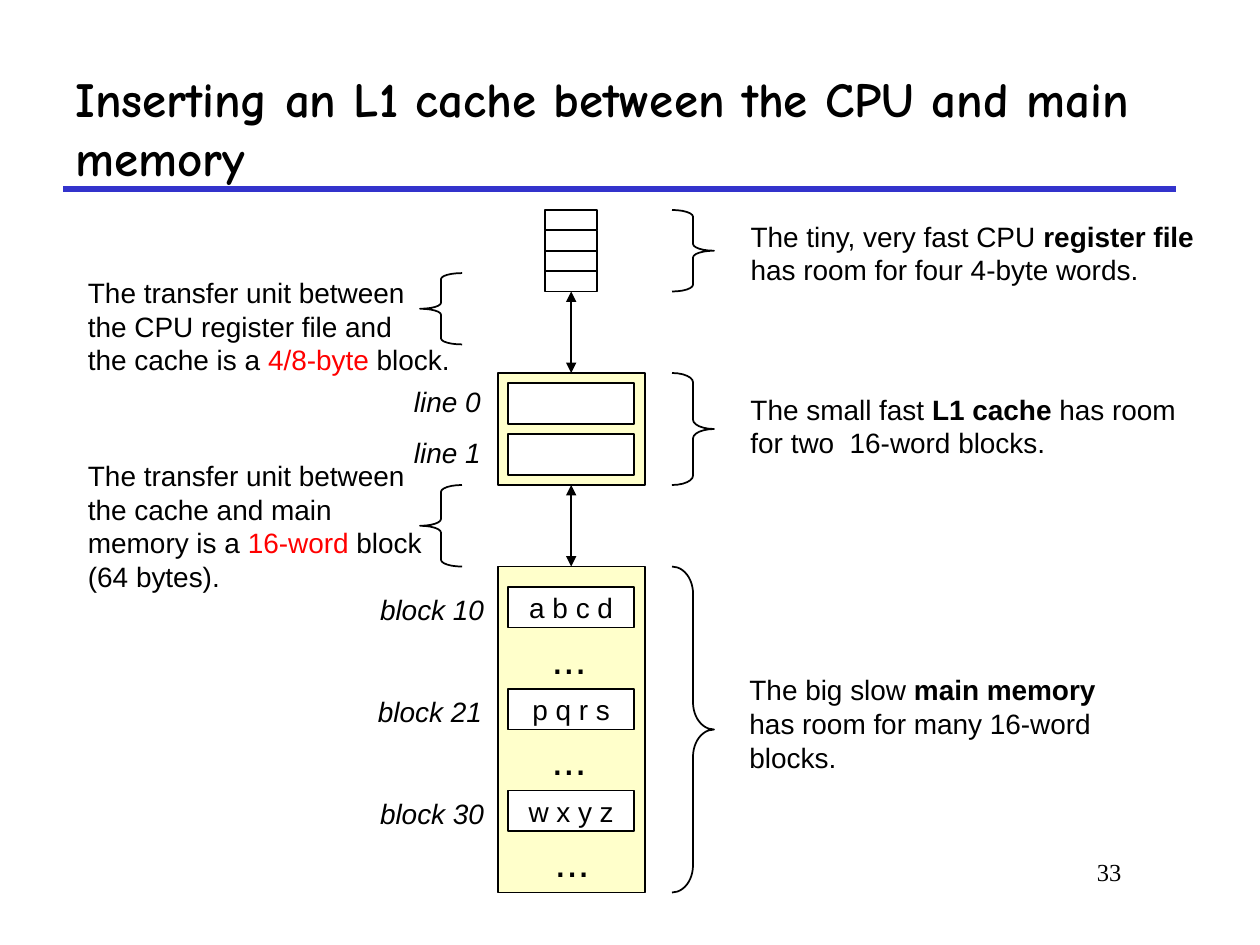
import pptx
import pptx.util
import pptx.dml.color
import pptx.enum.shapes
import pptx.enum.text
import pptx.oxml
import pptx.oxml.ns

BLACK = pptx.dml.color.RGBColor(0, 0, 0)
WHITE = pptx.dml.color.RGBColor(255, 255, 255)
RED = pptx.dml.color.RGBColor(255, 0, 0)
BLUE = pptx.dml.color.RGBColor(0x33, 0x33, 0xCC)
YELLOW = pptx.dml.color.RGBColor(0xFF, 0xFF, 0x99)
SHAPES = pptx.enum.shapes.MSO_SHAPE
STRAIGHT = pptx.enum.shapes.MSO_CONNECTOR.STRAIGHT
ALIGN = pptx.enum.text.PP_ALIGN
ANCHOR = pptx.enum.text.MSO_ANCHOR
FIT = pptx.enum.text.MSO_AUTO_SIZE

presentation = pptx.Presentation()
presentation.slide_width = pptx.util.Inches(10)
presentation.slide_height = pptx.util.Inches(7.5)
slide = presentation.slides.add_slide(presentation.slide_layouts[6])
column = presentation.slide_width / 120
top = presentation.slide_height * 2 / 9
row = (presentation.slide_height * 17 / 18 - top) / 33.5


def area(left, first_row, columns, rows):
    return (round(left * column), round(top + first_row * row),
            round(columns * column), round(rows * row))


def write(shape, lines, size=16, font="Arial", align=ALIGN.LEFT, anchor=ANCHOR.MIDDLE,
          bold=False, italic=False, wrap=False, fit=FIT.NONE):
    frame = shape.text_frame
    frame.word_wrap = wrap
    frame.auto_size = fit
    frame.vertical_anchor = anchor
    for number, line in enumerate(lines):
        paragraph = frame.add_paragraph() if number else frame.paragraphs[0]
        paragraph.alignment = align
        for text, emphasis in line:
            run = paragraph.add_run()
            run.text = text
            run.font.name = font
            run.font.size = pptx.util.Pt(size)
            run.font.bold = bold or emphasis == "bold"
            run.font.italic = italic
            run.font.color.rgb = RED if emphasis == "red" else BLACK


title = slide.shapes.add_textbox(
    round(6 * column), round(6.1 * column), round(106 * column), round(12 * column))
write(title, [[("Inserting an L1 cache between the CPU and main memory", None)]],
      size=28, font="Comic Neue", bold=True, wrap=True)
page_number = slide.shapes.add_textbox(
    round(91 * column), round(81 * column), round(17 * column), round(6 * column))
write(page_number, [[("33", None)]], size=14, font="Times New Roman",
      align=ALIGN.RIGHT, anchor=ANCHOR.TOP, wrap=True)

boxes = {}
for name, left, first_row, columns, rows, color, text in [
    ("cache", 47.4, 8, 14, 5.5, YELLOW, ""),
    ("memory", 47.4, 17.5, 14, 16, YELLOW, ""),
    *[(f"register {index}", 51.9, index, 5, 1, None, "") for index in range(4)],
    ("line 0", 48.4, 8.5, 12, 2, WHITE, ""),
    ("line 1", 48.4, 11, 12, 2, WHITE, ""),
    ("block 10", 48.4, 18.5, 12, 2, WHITE, "a b c d"),
    ("block 21", 48.4, 23.5, 12, 2, WHITE, "p q r s"),
    ("block 30", 48.4, 28.5, 12, 2, WHITE, "w x y z"),
]:
    box = slide.shapes.add_shape(SHAPES.RECTANGLE, *area(left, first_row, columns, rows))
    box.shadow.inherit = False
    box.line.color.rgb = BLACK
    box.line.width = pptx.util.Pt(1)
    if color is None:
        box.fill.background()
    else:
        box.fill.solid()
        box.fill.fore_color.rgb = color
    if color == YELLOW:
        color_element = box.element.spPr.find(".//" + pptx.oxml.ns.qn("a:srgbClr"))
        color_element.append(pptx.oxml.parse_xml(
            '<a:alpha xmlns:a="http://schemas.openxmlformats.org/drawingml/2006/main" val="50000"/>'))
    if text:
        write(box, [[(text, None)]], align=ALIGN.CENTER)
    boxes[name] = box

rule_y = round(presentation.slide_height / 5)
rule = slide.shapes.add_connector(
    STRAIGHT, round(6 * column), rule_y, round(112 * column), rule_y)
connectors = [(rule, BLUE, 3, [])]
for upper, lower in [("register 3", "cache"), ("cache", "memory")]:
    middle = boxes[upper].left + boxes[upper].width // 2
    arrow = slide.shapes.add_connector(
        STRAIGHT, middle, boxes[upper].top + boxes[upper].height, middle, boxes[lower].top)
    arrow.begin_connect(boxes[upper], 2)
    arrow.end_connect(boxes[lower], 0)
    connectors.append((arrow, BLACK, 1, ["headEnd", "tailEnd"]))
for connector, color, width, ends in connectors:
    connector.line.color.rgb = color
    connector.line.width = pptx.util.Pt(width)
    properties = connector.element.spPr
    for end in ends:
        properties.get_or_add_ln().append(pptx.oxml.parse_xml(
            f'<a:{end} xmlns:a="http://schemas.openxmlformats.org/drawingml/2006/main" type="triangle"/>'))
    properties.append(pptx.oxml.parse_xml(
        '<a:effectLst xmlns:a="http://schemas.openxmlformats.org/drawingml/2006/main"/>'))

for kind, left, first_row, rows in [
    (SHAPES.RIGHT_BRACE, 64, 0, 4),
    (SHAPES.RIGHT_BRACE, 64, 8, 5.5),
    (SHAPES.RIGHT_BRACE, 64, 17.5, 16),
    (SHAPES.LEFT_BRACE, 40, 3.1, 3.5),
    (SHAPES.LEFT_BRACE, 40, 13.5, 4),
]:
    brace = slide.shapes.add_shape(kind, *area(left, first_row, 4, rows))
    brace.shadow.inherit = False
    brace.fill.background()
    brace.line.color.rgb = BLACK
    brace.line.width = pptx.util.Pt(1)
    brace.adjustments[0] = brace.height / 12 / min(brace.width, brace.height)

for name, left, columns, shift in [
    ("line 0", 38.1, 9, -0.25), ("line 1", 38.1, 9, -0.25),
    ("block 10", 34.9, 12.5, -0.05), ("block 21", 34.7, 12.5, -0.05),
    ("block 30", 34.9, 12.5, -0.05),
]:
    first_row = (boxes[name].top - top) / row + shift
    label = slide.shapes.add_textbox(*area(left, first_row, columns, 2.3))
    write(label, [[(name, None)]], align=ALIGN.CENTER, italic=True, fit=FIT.SHAPE_TO_FIT_TEXT)

for left, first_row in [(51.3, 20.4), (51.3, 25.4), (51.6, 30.4)]:
    dots = slide.shapes.add_textbox(*area(left, first_row, 5.8, 3.1))
    write(dots, [[("...", None)]], size=24, align=ALIGN.CENTER, fit=FIT.SHAPE_TO_FIT_TEXT)

for left, first_row, columns, rows, lines in [
    (70.3, 0.1, 44.8, 4, [
        [("The tiny, very fast CPU ", None), ("register file", "bold")],
        [("has room for four 4-byte words.", None)]]),
    (70.3, 8.6, 43, 4, [
        [("The small fast ", None), ("L1 cache ", "bold"), ("has room", None)],
        [("for two  16-word blocks.", None)]]),
    (70.2, 22.4, 35.5, 5.6, [
        [("The big slow ", None), ("main memory", "bold")],
        [("has room for many 16-word", None)],
        [("blocks.", None)]]),
    (7.2, 2.9, 37, 5.6, [
        [("The transfer unit between", None)],
        [("the CPU register file and", None)],
        [("the cache is a ", None), ("4/8-byte", "red"), (" block.", None)]]),
    (7.2, 11.9, 34.3, 7.2, [
        [("The transfer unit between", None)],
        [("the cache and main", None)],
        [("memory is a ", None), ("16-word", "red"), (" block", None)],
        [("(64 bytes).", None)]]),
]:
    note = slide.shapes.add_textbox(*area(left, first_row, columns, rows))
    write(note, lines, fit=FIT.SHAPE_TO_FIT_TEXT)

presentation.save("out.pptx")
